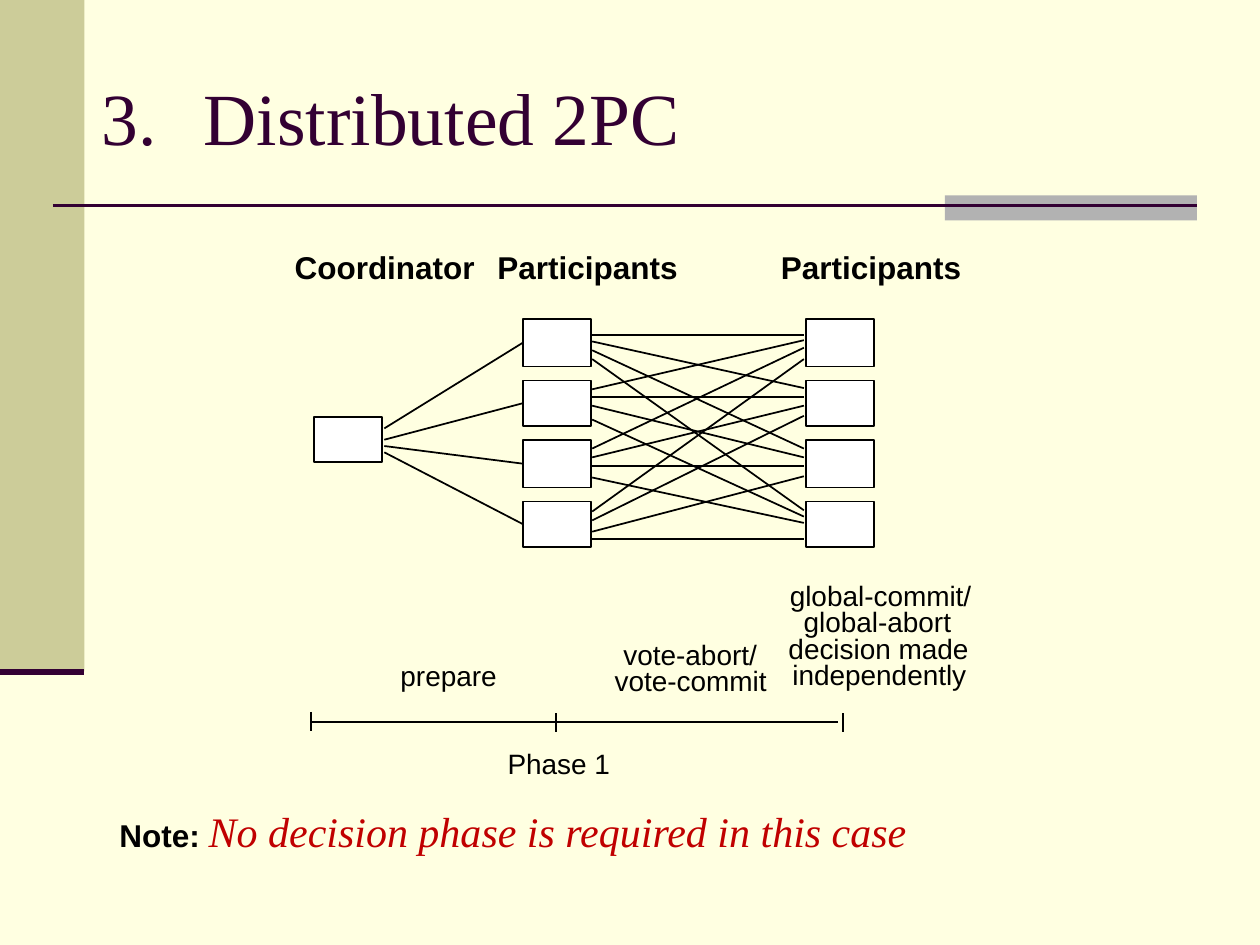
"""Build the slide on distributed two-phase commit."""
from lxml import etree
from pptx import Presentation
from pptx.dml.color import RGBColor
from pptx.enum.shapes import MSO_CONNECTOR, MSO_SHAPE
from pptx.enum.text import MSO_ANCHOR, MSO_AUTO_SIZE
from pptx.oxml.ns import qn
from pptx.util import Inches, Pt

RECT = MSO_SHAPE.RECTANGLE
LINE = MSO_CONNECTOR.STRAIGHT
TOP, MIDDLE = MSO_ANCHOR.TOP, MSO_ANCHOR.MIDDLE
FIXED, GROW = MSO_AUTO_SIZE.NONE, MSO_AUTO_SIZE.SHAPE_TO_FIT_TEXT
COLORS = {
    "page": "FFFFE1", "band": "CCCC99", "tab": "B2B2B2", "plum": "330033",
    "black": "000000", "white": "FFFFFF", "red": "C00000",
}
RGB = {name: RGBColor.from_string(code) for name, code in COLORS.items()}

prs = Presentation()
prs.slide_width, prs.slide_height = Inches(10), Inches(7.5)
slide = prs.slides.add_slide(prs.slide_layouts[6])
slide.background.fill.solid()
slide.background.fill.fore_color.rgb = RGB["page"]
shapes = slide.shapes


def add_text(text, at, size=16, font="Arial", color="black", bold=False,
             wrap=False, anchor=TOP):
    box = shapes.add_textbox(*map(Inches, at))
    frame = box.text_frame
    frame.word_wrap = wrap
    frame.auto_size = FIXED if wrap else GROW
    frame.vertical_anchor = anchor
    run = frame.paragraphs[0].add_run()
    run.text = text
    run.font.size, run.font.name = Pt(size), font
    run.font.bold = bold
    run.font.color.rgb = RGB[color]
    return frame.paragraphs[0]


def add_line(x1, y1, x2, y2, color="black", width=1):
    line = shapes.add_connector(LINE, *map(Inches, (x1, y1, x2, y2)))
    line.line.color.rgb = RGB[color]
    line.line.width = Pt(width)
    etree.SubElement(line._element.spPr, qn("a:effectLst"))
    return line


boxes = [
    (0, 0, 0.67, 5.33, "band"),
    (7.5, 1.55, 2, 0.2, "tab"),
    (2.49, 3.31, 0.54, 0.36, "white"),
]
rows = [(2.53, 0.38), (3.02, 0.36), (3.49, 0.38), (3.98, 0.36)]
for left in (4.15, 6.4):
    boxes += [(left, top, 0.54, high, "white") for top, high in rows]
nodes = []
for *at, color in boxes:
    box = shapes.add_shape(RECT, *map(Inches, at))
    box.shadow.inherit = False
    box.fill.solid()
    box.fill.fore_color.rgb = RGB[color]
    if color == "white":
        box.line.color.rgb = RGB["black"]
        box.line.width = Pt(1)
        nodes.append(box)
    else:
        box.line.fill.background()

add_line(0.42, 1.63, 9.5, 1.63, color="plum", width=1.5)
add_line(0, 5.33, 0.67, 5.33, color="plum", width=3.5)

title = add_text("Distributed 2PC", (0.71, 0.3, 8.79, 1.25), size=42,
                 font="Times New Roman", color="plum", wrap=True, anchor=MIDDLE)
props = title._p.get_or_add_pPr()
props.set("marL", str(Inches(0.81)))
props.set("indent", str(Inches(-0.81)))
etree.SubElement(props, qn("a:buAutoNum"), type="arabicPeriod", startAt="3")

for node, y in zip(nodes[1:5], (3.4, 3.49, 3.54, 3.59)):
    add_line(3.05, y, 4.15, y).end_connect(node, 1)

starts = [
    (2.66, 2.71, 2.78, 2.85),
    (3.09, 3.15, 3.22, 3.33),
    (3.56, 3.63, 3.7, 3.79),
    (4.06, 4.13, 4.22, 4.28),
]
ends = [
    (2.66, 3.08, 3.56, 4.05),
    (2.7, 3.15, 3.63, 4.1),
    (2.76, 3.22, 3.7, 4.15),
    (2.85, 3.3, 3.78, 4.28),
]
for outs, ins in zip(starts, ends):
    for out, end in zip(outs, ins):
        add_line(4.7, out, 6.38, end)

for text, left in (("Coordinator", 2.24), ("Participants", 3.85),
                   ("Participants", 6.1)):
    add_text(text, (left, 1.92, 1.63, 0.4), size=18, bold=True)

labels = [
    ("prepare", 3.08, 5.18, 0.98, 0.36),
    ("vote-abort/", 4.85, 5.01, 1.26, 0.36),
    ("vote-commit", 4.78, 5.22, 1.41, 0.36),
    ("global-commit/", 6.17, 4.54, 1.64, 0.36),
    ("global-abort", 6.28, 4.75, 1.37, 0.36),
    ("decision made", 6.16, 4.96, 1.63, 0.36),
    ("independently", 6.19, 5.17, 1.58, 0.36),
    ("Phase 1", 3.93, 5.88, 1.03, 0.36),
]
for text, *at in labels:
    add_text(text, at)

add_line(2.47, 5.73, 6.65, 5.73)
for x, y in ((2.47, 5.65), (4.41, 5.66), (6.69, 5.66)):
    add_line(x, y, x, y + 0.15)

note = add_text("Note: ", (0.85, 6.34, 8.17, 0.5), size=18, bold=True, wrap=True)
claim = note.add_run()
claim.text = "No decision phase is required in this case"
claim.font.size, claim.font.name = Pt(24), "Times New Roman"
claim.font.italic = True
claim.font.color.rgb = RGB["red"]

prs.save("out.pptx")
